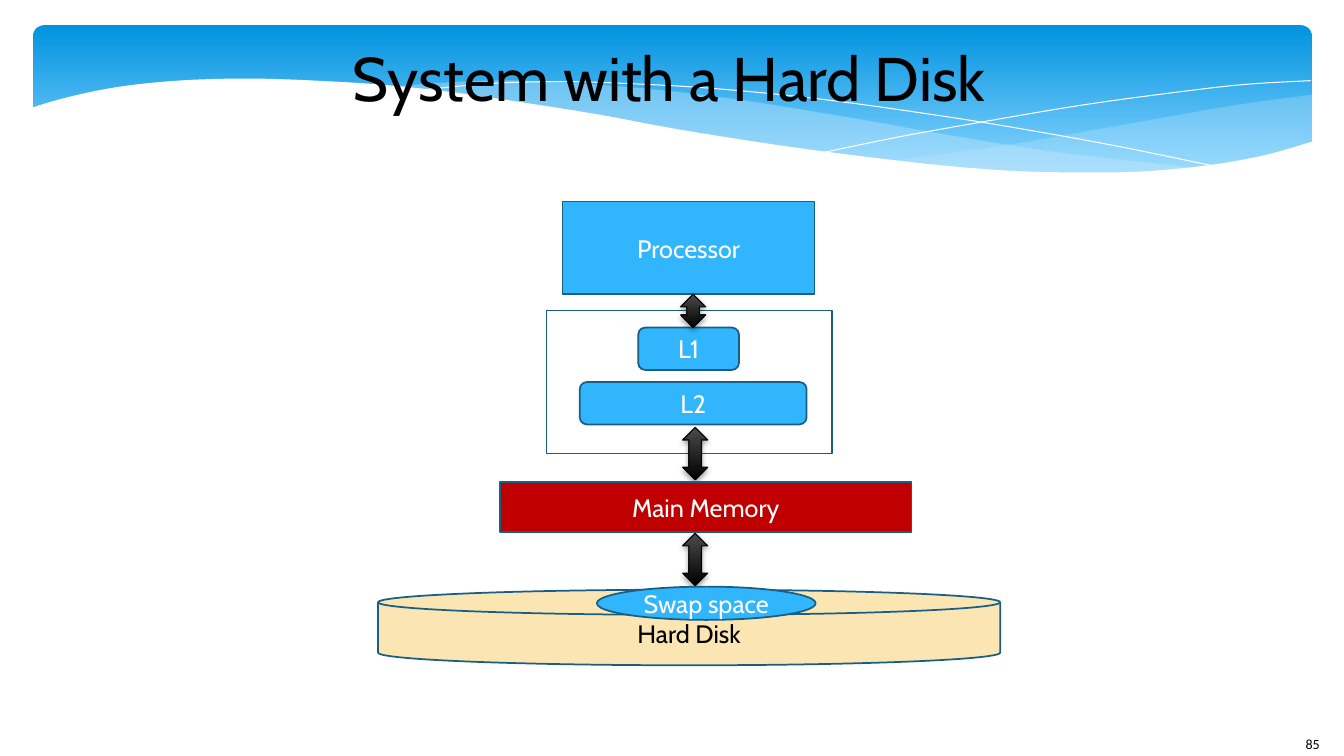
"""Build a slide showing a memory hierarchy with a hard disk."""
import dataclasses

import lxml.etree
import pptx
import pptx.dml.color
import pptx.enum.shapes
import pptx.enum.text
import pptx.oxml.ns
import pptx.util

Inches = pptx.util.Inches
Pt = pptx.util.Pt
Shapes = pptx.enum.shapes.MSO_SHAPE
qn = pptx.oxml.ns.qn


@dataclasses.dataclass(frozen=True)
class Theme:
    """Colours, fonts and type sizes of the slide."""
    font: str = "Cabin"
    number_font: str = "Calibri"
    title_size: int = 44
    label_size: int = 18
    number_size: int = 10
    black: str = "000000"
    white: str = "FFFFFF"
    blue: str = "31B6FD"
    outline: str = "195F84"
    red: str = "C00000"
    cream: str = "FBE6B3"
    ribbon: str = "C6E7FC"
    banner: tuple = (("0293E0", 0), ("83D3FE", 0.9))
    arrow: tuple = (("4B4B4B", 0), ("000000", 1))


def rgb(value):
    """Turn a hexadecimal string into a colour."""
    return pptx.dml.color.RGBColor.from_string(value)


def smooth(points, steps=6):
    """Return points along a spline through the given points."""
    padded = [points[0], *points, points[-1]]
    result = [points[0]]
    for before, start, end, after in zip(padded, padded[1:], padded[2:], padded[3:]):
        for step in range(1, steps + 1):
            t = step / steps
            result.append(tuple(
                0.5 * (2 * b + (c - a) * t + (2 * a - 5 * b + 4 * c - d) * t ** 2
                       + (3 * b - a - 3 * c + d) * t ** 3)
                for a, b, c, d in zip(before, start, end, after)))
    return result


class SlideBuilder:
    """Draw elements on one slide in one style."""

    def __init__(self, slide, theme):
        self.slide = slide
        self.theme = theme

    def add_run(self, frame, text, size, color, font=None, centred=True):
        """Put one run of text in a frame."""
        paragraph = frame.paragraphs[0]
        if centred:
            paragraph.alignment = pptx.enum.text.PP_ALIGN.CENTER
            frame.vertical_anchor = pptx.enum.text.MSO_ANCHOR.MIDDLE
        run = paragraph.add_run()
        run.text = text
        run.font.name = font or self.theme.font
        run.font.size = Pt(size)
        run.font.color.rgb = rgb(color)

    def paint(self, shape, fill, line=None, width=1.25):
        """Set the fill and line of a shape without a shadow."""
        shape.shadow.inherit = False
        if fill is None:
            shape.fill.background()
        elif isinstance(fill, tuple):
            shape.fill.gradient()
            shape.fill.gradient_angle = 270
            for stop, (color, position) in zip(shape.fill.gradient_stops, fill):
                stop.color.rgb = rgb(color)
                stop.position = position
        else:
            shape.fill.solid()
            shape.fill.fore_color.rgb = rgb(fill)
        if line is None:
            shape.line.fill.background()
        else:
            shape.line.color.rgb = rgb(line)
            shape.line.width = Pt(width)

    def add_text(self, box, text, size, font=None, centred=True):
        """Add a text box in black."""
        shape = self.slide.shapes.add_textbox(*map(Inches, box))
        frame = shape.text_frame
        frame.word_wrap = True
        if centred:
            frame.margin_left = frame.margin_right = 0
            frame.margin_top = frame.margin_bottom = 0
        self.add_run(frame, text, size, self.theme.black, font, centred)

    def add_block(self, kind, box, fill, text="", color=None):
        """Add an outlined shape with a centred label."""
        shape = self.slide.shapes.add_shape(kind, *map(Inches, box))
        self.paint(shape, fill, self.theme.outline)
        if text:
            self.add_run(shape.text_frame, text, self.theme.label_size,
                         color or self.theme.white)

    def add_banner(self, box):
        """Add the rounded gradient banner."""
        shape = self.slide.shapes.add_shape(Shapes.ROUNDED_RECTANGLE, *map(Inches, box))
        shape.adjustments[0] = 0.07
        self.paint(shape, self.theme.banner)

    def add_arrow(self, left, top, height):
        """Add a shaded two-way arrow with a soft shadow."""
        shape = self.slide.shapes.add_shape(
            Shapes.UP_DOWN_ARROW, *map(Inches, (left, top, 0.25, height)))
        self.paint(shape, self.theme.arrow, self.theme.black, 0.75)
        effects = shape._element.spPr.find(qn("a:effectLst"))
        shadow = lxml.etree.SubElement(
            effects, qn("a:outerShdw"), blurRad=str(Pt(4)), dist=str(Pt(2)),
            dir="5400000", rotWithShape="0")
        color = lxml.etree.SubElement(shadow, qn("a:srgbClr"), val=self.theme.black)
        lxml.etree.SubElement(color, qn("a:alpha"), val="38000")

    def add_wave(self, points, fill=None, line=None, opacity=100):
        """Add a freeform, closed when it has a fill."""
        places = [(Inches(x), Inches(y)) for x, y in points]
        builder = self.slide.shapes.build_freeform(*places[0])
        builder.add_line_segments(places[1:], close=fill is not None)
        shape = builder.convert_to_shape()
        self.paint(shape, fill, line, 0)
        if opacity < 100:
            color = shape._element.spPr.find(qn("a:solidFill"))[0]
            lxml.etree.SubElement(color, qn("a:alpha"), val=str(opacity * 1000))


def draw_banner(builder):
    """Draw the banner and its waves."""
    theme = builder.theme
    right_top = [(13.01, 0.94), (12.27, 1.04), (11.47, 1.18), (10.73, 1.31),
                 (10.05, 1.43), (9.41, 1.52), (8.82, 1.6)]
    right_bottom = [(8.82, 1.6), (9.58, 1.67), (10.25, 1.71), (10.85, 1.72),
                    (11.51, 1.7), (12.18, 1.62), (13.01, 1.42)]
    middle_top = [(11.9, 1.67), (11.16, 1.59), (10.34, 1.49), (9.41, 1.34),
                  (8.39, 1.16), (7.4, 1), (6.52, 0.89), (5.6, 0.82),
                  (4.82, 0.8), (3.82, 0.86)]
    middle_bottom = [(3.82, 0.86), (4.83, 0.97), (5.99, 1.16), (7.06, 1.35),
                     (8.02, 1.5), (9.07, 1.63), (9.98, 1.7), (10.9, 1.73), (11.9, 1.67)]
    long_line = [(4.12, 0.9), (4.84, 0.83), (5.55, 0.81), (6.25, 0.83), (7.1, 0.88),
                 (8.11, 0.98), (9.27, 1.14), (10.14, 1.28), (11.08, 1.45), (12.1, 1.66)]
    short_line = [(8.18, 1.51), (8.96, 1.35), (9.97, 1.17), (10.75, 1.04),
                  (11.55, 0.93), (12.32, 0.84), (13, 0.8)]
    edge = [(13.03, 1.4), (12.54, 1.54), (11.98, 1.64), (11.34, 1.7), (10.78, 1.71),
            (10.15, 1.7), (9.44, 1.65), (8.63, 1.56), (7.72, 1.44), (6.71, 1.28),
            (5.96, 1.14), (5.21, 1.02), (4.53, 0.92), (3.9, 0.85), (3.33, 0.81),
            (2.58, 0.78), (1.94, 0.79), (1.42, 0.83), (1.01, 0.89), (0.61, 0.98),
            (0.31, 1.07)]
    builder.add_banner((0.33, 0.25, 12.68, 1.56))
    builder.add_wave(smooth(right_top) + smooth(right_bottom), theme.ribbon, opacity=29)
    builder.add_wave(smooth(middle_top) + smooth(middle_bottom), theme.ribbon, opacity=40)
    for line in (long_line, short_line):
        builder.add_wave(smooth(line), line=theme.white)
    builder.add_wave(smooth(edge) + [(0.31, 2.24), (13.03, 2.24)], theme.white)


def draw_hierarchy(builder):
    """Draw the processor, caches, memory and disk."""
    theme = builder.theme
    rounded = Shapes.ROUNDED_RECTANGLE
    builder.add_block(Shapes.RECTANGLE, (5.58, 2, 2.5, 0.92), theme.blue, "Processor")
    builder.add_block(rounded, (6.33, 3.25, 1, 0.42), theme.blue, "L1")
    builder.add_block(rounded, (5.75, 3.79, 2.25, 0.42), theme.blue, "L2")
    builder.add_block(Shapes.RECTANGLE, (5.42, 3.08, 2.83, 1.42), None)
    builder.add_arrow(6.75, 2.92, 0.33)
    builder.add_arrow(6.77, 4.24, 0.52)
    builder.add_block(Shapes.RECTANGLE, (4.96, 4.78, 4.08, 0.5), theme.red, "Main Memory")
    builder.add_arrow(6.77, 5.29, 0.52)
    builder.add_block(Shapes.FLOWCHART_MAGNETIC_DISK, (3.75, 5.85, 6.17, 0.75),
                      theme.cream, "Hard Disk", theme.black)
    builder.add_block(Shapes.OVAL, (5.92, 5.82, 2.17, 0.33), theme.blue, "Swap space")


def main():
    """Create and save the presentation."""
    presentation = pptx.Presentation()
    presentation.slide_width = Inches(13.33)
    presentation.slide_height = Inches(7.5)
    theme = Theme()
    slide = presentation.slides.add_slide(presentation.slide_layouts[6])
    builder = SlideBuilder(slide, theme)
    draw_banner(builder)
    builder.add_text((12.85, 7.25, 0.48, 0.25), "85", theme.number_size,
                     theme.number_font, centred=False)
    builder.add_text((2.58, 0.25, 8.11, 1.02), "System with a Hard Disk", theme.title_size)
    draw_hierarchy(builder)
    presentation.save("out.pptx")


if __name__ == "__main__":
    main()
